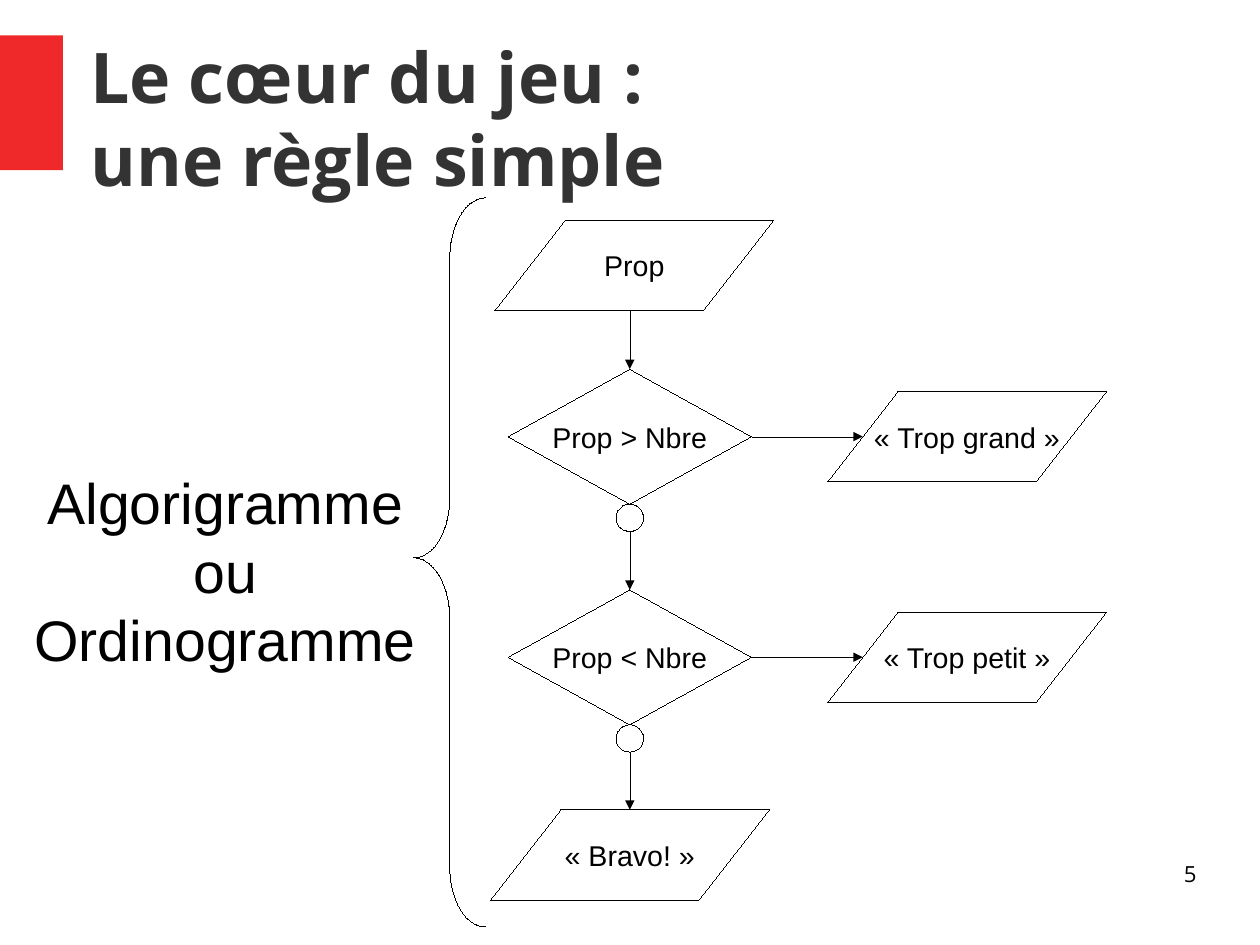
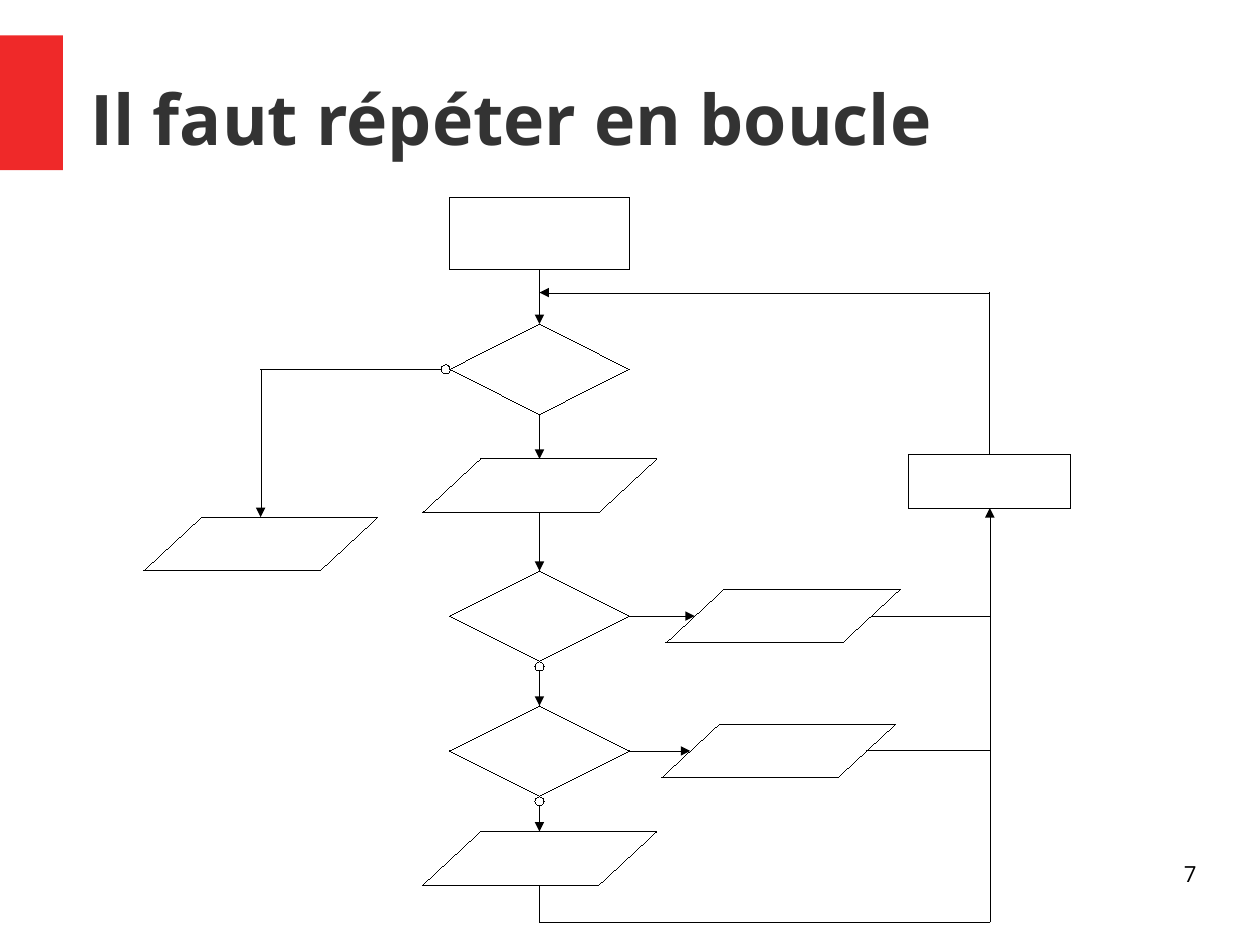
from dataclasses import dataclass

from lxml import etree
from pptx import Presentation
from pptx.dml.color import RGBColor
from pptx.enum.shapes import MSO_CONNECTOR, MSO_SHAPE
from pptx.enum.text import MSO_ANCHOR, PP_ALIGN
from pptx.oxml.ns import qn
from pptx.util import Cm, Inches, Pt

RECTANGLE, DIAMOND = MSO_SHAPE.RECTANGLE, MSO_SHAPE.DIAMOND
PARALLELOGRAM, OVAL = MSO_SHAPE.PARALLELOGRAM, MSO_SHAPE.OVAL
LEFT_BRACE = MSO_SHAPE.LEFT_BRACE
STRAIGHT = MSO_CONNECTOR.STRAIGHT
LEFT, CENTER, RIGHT = PP_ALIGN.LEFT, PP_ALIGN.CENTER, PP_ALIGN.RIGHT
TOP_ANCHOR, MIDDLE = MSO_ANCHOR.TOP, MSO_ANCHOR.MIDDLE
SIDES = {"top": 0, "left": 1, "bottom": 2, "right": 3}


@dataclass(frozen=True)
class Theme:
    width_cm: int = 28
    height_cm: int = 21
    accent: str = "EF2929"
    heading: str = "333333"
    ink: str = "000000"
    heading_font: str = "Open Sans"
    body_font: str = "Arial"
    title_size: int = 44
    caption_size: int = 36
    node_size: int = 18
    number_size: int = 14
    hairline: float = 0.01


THEME = Theme()

# Content: kinds give (shape, width, height, slant); nodes give (kind, centre x, centre y, text)
# Links run through their stops, each a (node, side) pair or an (x, y) point
RULE_X, RULE_OUT = 5.51, 8.46
LOOP_X, LOOP_BACK, LOOP_EXIT = 4.72, 8.66, 2.28
LOOP_ENTRY, LOOP_FLOOR = 2.56, 8.07

PAGES = [
    {
        "title": ["Le cœur du jeu : ", "une règle simple"],
        "number": "5",
        "caption": ["Algorigramme", "ou", "Ordinogramme"],
        "kinds": {
            "test": (DIAMOND, 2.13, 1.18, None),
            "output": (PARALLELOGRAM, 2.44, 0.79, 0.78),
            "negation": (OVAL, 0.24, 0.24, None),
        },
        "nodes": {
            "proposal": ("output", 5.55, 2.32, "Prop"),
            "above": ("test", RULE_X, 3.82, "Prop > Nbre"),
            "not above": ("negation", RULE_X, 4.53, ""),
            "below": ("test", RULE_X, 5.75, "Prop < Nbre"),
            "not below": ("negation", RULE_X, 6.46, ""),
            "bravo": ("output", RULE_X, 7.48, "« Bravo! »"),
            "too big": ("output", RULE_OUT, 3.82, "« Trop grand »"),
            "too small": ("output", RULE_OUT, 5.75, "« Trop petit »"),
        },
        "arrows": [
            [(RULE_X, 2.72), ("above", "top")],
            [("not above", "bottom"), ("below", "top")],
            [("not below", "bottom"), ("bravo", "top")],
            [("above", "right"), ("too big", "left")],
            [("below", "right"), ("too small", "left")],
        ],
        "lines": [],
    },
    {
        "title": ["Il faut répéter en boucle"],
        "number": "7",
        "caption": [],
        "kinds": {
            "test": (DIAMOND, 1.57, 0.79, None),
            "output": (PARALLELOGRAM, 2.05, 0.47, 1.08),
            "negation": (OVAL, 0.08, 0.08, None),
            "start": (RECTANGLE, 1.57, 0.63, None),
            "step": (RECTANGLE, 1.42, 0.47, None),
        },
        "nodes": {
            "start": ("start", LOOP_X, 2.04, ""),
            "continue": ("test", LOOP_X, 3.23, ""),
            "not continue": ("negation", 3.9, 3.23, ""),
            "proposal": ("output", LOOP_X, 4.25, ""),
            "above": ("test", LOOP_X, 5.39, ""),
            "not above": ("negation", LOOP_X, 5.83, ""),
            "below": ("test", LOOP_X, 6.57, ""),
            "not below": ("negation", LOOP_X, 7.01, ""),
            "success": ("output", LOOP_X, 7.51, ""),
            "too big": ("output", 6.85, 5.39, ""),
            "too small": ("output", 6.81, 6.57, ""),
            "end": ("output", LOOP_EXIT, 4.76, ""),
            "increment": ("step", LOOP_BACK, 4.21, ""),
        },
        "arrows": [
            [("start", "bottom"), ("continue", "top")],
            [("continue", "bottom"), ("proposal", "top")],
            [("proposal", "bottom"), ("above", "top")],
            [("not above", "bottom"), ("below", "top")],
            [("not below", "bottom"), ("success", "top")],
            [("above", "right"), ("too big", "left")],
            [("below", "right"), ("too small", "left")],
            [("not continue", "left"), (LOOP_EXIT, 3.23), ("end", "top")],
            [("success", "bottom"), (LOOP_X, LOOP_FLOOR),
             (LOOP_BACK, LOOP_FLOOR), ("increment", "bottom")],
            [("increment", "top"), (LOOP_BACK, LOOP_ENTRY), (LOOP_X, LOOP_ENTRY)],
        ],
        "lines": [
            [("too big", "right"), (LOOP_BACK, 5.39)],
            [("too small", "right"), (LOOP_BACK, 6.57)],
        ],
    },
]


def color(code):
    return RGBColor.from_string(code)


def add_span(para, text, size, font, ink, bold=False):
    span = para.add_run()
    span.text = text
    span.font.size = Pt(size)
    span.font.name = font
    span.font.bold = bold
    span.font.color.rgb = color(ink)


def add_text(page, area, align, anchor=TOP_ANCHOR):
    frame = page.shapes.add_textbox(*map(Inches, area)).text_frame
    frame.word_wrap = True
    frame.vertical_anchor = anchor
    frame.margin_left = frame.margin_right = 0
    frame.margin_top = frame.margin_bottom = 0
    frame.paragraphs[0].alignment = align
    return frame


def add_outline(page, kind, area):
    shape = page.shapes.add_shape(kind, *map(Inches, area))
    shape.shadow.inherit = False
    shape.fill.background()
    shape.line.color.rgb = color(THEME.ink)
    shape.line.width = Pt(THEME.hairline)
    return shape


def add_frame(page, title, number):
    """Red band, title and page number shared by every page."""
    band = page.shapes.add_shape(RECTANGLE, *map(Inches, (0, 0.31, 0.55, 1.18)))
    band.shadow.inherit = False
    band.fill.solid()
    band.fill.fore_color.rgb = color(THEME.accent)
    band.line.fill.background()

    para = add_text(page, (0.79, 0.19, 9.68, 1.67), LEFT, MIDDLE).paragraphs[0]
    for index, text in enumerate(title):
        if index:
            para.add_line_break()
        add_span(para, text, THEME.title_size, THEME.heading_font, THEME.heading, True)

    para = add_text(page, (7.9, 7.53, 2.57, 0.57), RIGHT).paragraphs[0]
    add_span(para, number, THEME.number_size, THEME.heading_font, THEME.ink)


def add_caption(page, lines):
    """Caption and the brace that ties it to the chart."""
    brace = add_outline(page, LEFT_BRACE, (3.62, 1.73, 0.63, 6.38))
    brace.adjustments[0] = 0.53 / 0.63
    brace.adjustments[1] = 3.15 / 6.38
    frame = add_text(page, (0, 4.09, 3.94, 1.86), CENTER)
    for index, text in enumerate(lines):
        para = frame.add_paragraph() if index else frame.paragraphs[0]
        para.alignment = CENTER
        add_span(para, text, THEME.caption_size, THEME.body_font, THEME.ink)


def add_node(page, kind, x, y, text):
    preset, width, height, slant = kind
    shape = add_outline(page, preset, (x - width / 2, y - height / 2, width, height))
    if slant is not None:
        shape.adjustments[0] = slant
    if text:
        frame = shape.text_frame
        frame.word_wrap = False
        frame.vertical_anchor = MIDDLE
        para = frame.paragraphs[0]
        para.alignment = CENTER
        add_span(para, text, THEME.node_size, THEME.body_font, THEME.ink)
    return shape


def locate(stop, nodes, kinds):
    """Position of a stop; a slanted side is met at its middle."""
    if stop[0] not in nodes:
        return stop
    name, side = stop
    kind, x, y, _ = nodes[name]
    _, width, height, slant = kinds[kind]
    reach = width / 2 - (slant or 0) * height / 2
    return {
        "top": (x, y - height / 2),
        "bottom": (x, y + height / 2),
        "left": (x - reach, y),
        "right": (x + reach, y),
    }[side]


def add_link(page, stops, content, shapes, arrow):
    nodes, kinds = content["nodes"], content["kinds"]
    for index, (start, end) in enumerate(zip(stops, stops[1:])):
        points = locate(start, nodes, kinds) + locate(end, nodes, kinds)
        link = page.shapes.add_connector(STRAIGHT, *map(Inches, points))
        for stop, connect in ((start, link.begin_connect), (end, link.end_connect)):
            if stop[0] in nodes and kinds[nodes[stop[0]][0]][0] in (RECTANGLE, DIAMOND):
                connect(shapes[stop[0]], SIDES[stop[1]])
        link.line.color.rgb = color(THEME.ink)
        link.line.width = Pt(THEME.hairline)
        properties = link._element.spPr
        if arrow and index == len(stops) - 2:
            outline = properties.find(qn("a:ln"))
            etree.SubElement(outline, qn("a:tailEnd"), type="triangle")
        etree.SubElement(properties, qn("a:effectLst"))


def main():
    deck = Presentation()
    deck.slide_width, deck.slide_height = Cm(THEME.width_cm), Cm(THEME.height_cm)
    for content in PAGES:
        page = deck.slides.add_slide(deck.slide_layouts[6])
        add_frame(page, content["title"], content["number"])
        if content["caption"]:
            add_caption(page, content["caption"])
        shapes = {
            name: add_node(page, content["kinds"][kind], x, y, text)
            for name, (kind, x, y, text) in content["nodes"].items()
        }
        for group in ("arrows", "lines"):
            for stops in content[group]:
                add_link(page, stops, content, shapes, group == "arrows")
    deck.save("out.pptx")


if __name__ == "__main__":
    main()
